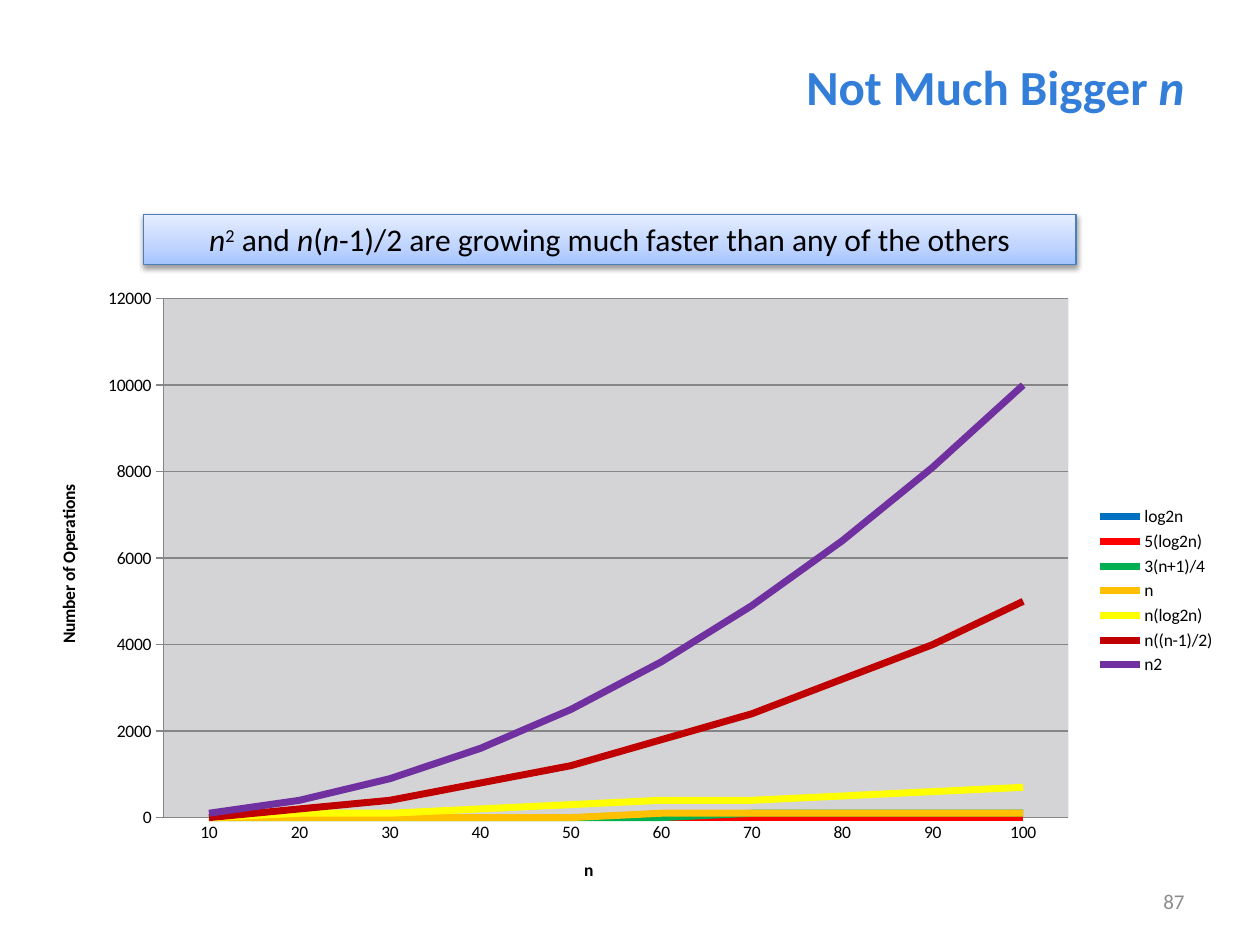
from copy import deepcopy
from dataclasses import dataclass
from math import log2

from lxml import etree
from pptx import Presentation
from pptx.chart.data import CategoryChartData
from pptx.dml.color import RGBColor
from pptx.enum import chart as chart_enum, shapes, text
from pptx.oxml import ns
from pptx.util import Inches, Pt


@dataclass(frozen=True)
class Theme:
    font: str = "Calibri"
    title: str = "337ED9"
    ink: str = "000000"
    number: str = "8C8C8C"
    border: str = "4B7EBC"
    plot: str = "D4D4D6"
    grid: str = "868686"
    banner: tuple = ((0, "A4C4FF"), (0.35, "BFD4FF"), (1, "E6EEFF"))
    title_size: int = 28
    banner_size: int = 18
    number_size: int = 12
    chart_size: int = 10


THEME = Theme()
CHART_WIDTH, CHART_HEIGHT = 9.49, 5

# Name, colour and growth function of each curve
CURVES = [
    ("log2n", "0070C0", lambda n: log2(n)),
    ("5(log2n)", "FF0000", lambda n: 5 * log2(n)),
    ("3(n+1)/4", "00B050", lambda n: 3 * (n + 1) / 4),
    ("n", "FFC000", lambda n: n),
    ("n(log2n)", "FFFF00", lambda n: n * log2(n)),
    ("n((n-1)/2)", "C00000", lambda n: n * (n - 1) / 2),
    ("n2", "7030A0", lambda n: n * n),
]


def rgb(value):
    return RGBColor.from_string(value)


def place(shape, left, top, width, height):
    shape.left, shape.top = Inches(left), Inches(top)
    shape.width, shape.height = Inches(width), Inches(height)


def style_font(font, size, color, bold=False):
    font.name, font.size, font.bold = THEME.font, Pt(size), bold
    font.color.rgb = rgb(color)


def write_runs(shape, runs, align, size, color, bold=False):
    """Each run is (wording, style); style is "", "i" (italic) or "sup"."""
    frame = shape.text_frame
    frame.word_wrap = True
    frame.vertical_anchor = text.MSO_ANCHOR.MIDDLE
    paragraph = frame.paragraphs[0]
    paragraph.alignment = align
    for wording, style in runs:
        run = paragraph.add_run()
        run.text = wording
        style_font(run.font, size, color, bold)
        run.font.italic = style == "i"
        if style == "sup":
            run.font._element.set("baseline", "30000")


def add_title(slide):
    title = slide.shapes.title
    place(title, 1.61, 0.38, 7.89, 0.61)
    write_runs(title, [("Not Much Bigger ", ""), ("n", "i")],
               text.PP_ALIGN.RIGHT, THEME.title_size, THEME.title, bold=True)


def add_slide_number(slide, number):
    box = slide.shapes.add_textbox(Inches(7.17), Inches(6.95), Inches(2.33), Inches(0.4))
    write_runs(box, [(number, "")], text.PP_ALIGN.RIGHT, THEME.number_size, THEME.number)


def fill_gradient(shape, stops, angle):
    shape.fill.gradient()
    shape.fill.gradient_angle = angle
    first = shape.fill.gradient_stops[0]._gs
    first.getparent().append(deepcopy(first))
    for stop, (position, color) in zip(shape.fill.gradient_stops, stops):
        stop.position = position
        stop.color.rgb = rgb(color)


def add_shadow(shape):
    shape.shadow.inherit = False
    effects = shape._element.spPr.find(ns.qn("a:effectLst"))
    shadow = etree.SubElement(effects, ns.qn("a:outerShdw"), blurRad=str(Pt(3.1)),
                              dist=str(Pt(1.6)), dir="5400000", rotWithShape="0")
    color = etree.SubElement(shadow, ns.qn("a:srgbClr"), val=THEME.ink)
    etree.SubElement(color, ns.qn("a:alpha"), val="38000")


def add_banner(slide):
    banner = slide.shapes.add_shape(shapes.MSO_SHAPE.RECTANGLE, Inches(1.14), Inches(1.7),
                                    Inches(7.4), Inches(0.4))
    fill_gradient(banner, THEME.banner, 90)
    banner.line.color.rgb = rgb(THEME.border)
    banner.line.width = Pt(0.75)
    add_shadow(banner)
    runs = [("n", "i"), ("2", "sup"), (" and ", ""), ("n", "i"), ("(", ""), ("n", "i"),
            ("-1)/2 are growing much faster than any of the others", "")]
    write_runs(banner, runs, text.PP_ALIGN.CENTER, THEME.banner_size, THEME.ink)
    banner.text_frame.vertical_anchor = text.MSO_ANCHOR.TOP
    banner.text_frame.auto_size = text.MSO_AUTO_SIZE.SHAPE_TO_FIT_TEXT


def set_layout(element, **inches):
    """Fix the position of a chart part, in inches within the chart."""
    layout = element.find(ns.qn("c:layout"))
    if layout is None:
        layout = etree.Element(ns.qn("c:layout"))
        before = element.find(ns.qn("c:tx"))
        element.insert(0 if before is None else element.index(before) + 1, layout)
    for child in list(layout):
        layout.remove(child)
    manual = etree.SubElement(layout, ns.qn("c:manualLayout"))
    if "w" in inches:
        etree.SubElement(manual, ns.qn("c:layoutTarget"), val="inner")
    for mode in ("xMode", "yMode"):
        etree.SubElement(manual, ns.qn(f"c:{mode}"), val="edge")
    for key, value in inches.items():
        whole = CHART_WIDTH if key in "xw" else CHART_HEIGHT
        etree.SubElement(manual, ns.qn(f"c:{key}"), val=str(value / whole))


def style_axis(axis, caption, tick, x, y):
    axis.major_tick_mark = tick
    axis.minor_tick_mark = chart_enum.XL_TICK_MARK.NONE
    axis.format.line.color.rgb = rgb(THEME.grid)
    run = axis.axis_title.text_frame.paragraphs[0].add_run()
    run.text = caption
    style_font(run.font, THEME.chart_size, THEME.ink, bold=True)
    set_layout(axis.axis_title._element, x=x, y=y)


def add_growth_chart(slide):
    sizes = range(10, 101, 10)
    data = CategoryChartData(number_format="0")
    data.categories = [str(n) for n in sizes]
    for name, _, growth in CURVES:
        data.add_series(name, [round(growth(n), -2) for n in sizes])
    chart = slide.shapes.add_chart(chart_enum.XL_CHART_TYPE.LINE, Inches(0.26), Inches(2.19),
                                   Inches(CHART_WIDTH), Inches(CHART_HEIGHT), data).chart
    chart.has_title = False
    style_font(chart.font, THEME.chart_size, THEME.ink)
    chart.has_legend = True
    chart.legend.position = chart_enum.XL_LEGEND_POSITION.RIGHT
    chart.legend.include_in_layout = False

    # Curves
    plot = chart.plots[0]
    plot.vary_by_categories = False
    for series, (_, color, _) in zip(plot.series, CURVES):
        series.smooth = False
        series.marker.style = chart_enum.XL_MARKER_STYLE.NONE
        series.format.line.color.rgb = rgb(color)
        series.format.line.width = Pt(4)

    # Axes
    marks = chart_enum.XL_TICK_MARK
    style_axis(chart.category_axis, "n", marks.NONE, 4.35, 4.6)
    values = chart.value_axis
    style_axis(values, "Number of Operations", marks.OUTSIDE, 0.17, 1.63)
    values.minimum_scale, values.maximum_scale, values.major_unit = 0, 12000, 2000
    values.has_major_gridlines = True
    values.major_gridlines.format.line.color.rgb = rgb(THEME.grid)
    values.tick_labels.number_format = "0"
    values.tick_labels.number_format_is_linked = False

    # Plot area
    area = chart._chartSpace.chart.plotArea
    set_layout(area, x=1.04, y=0.18, w=7.18, h=4.12)
    properties = etree.SubElement(area, ns.qn("c:spPr"))
    fill = etree.SubElement(properties, ns.qn("a:solidFill"))
    etree.SubElement(fill, ns.qn("a:srgbClr"), val=THEME.plot)


def main():
    presentation = Presentation()
    presentation.slide_width, presentation.slide_height = Inches(10), Inches(7.5)
    slide = presentation.slides.add_slide(presentation.slide_layouts[5])
    add_title(slide)
    add_slide_number(slide, "87")
    add_banner(slide)
    add_growth_chart(slide)
    presentation.save("out.pptx")


if __name__ == "__main__":
    main()
